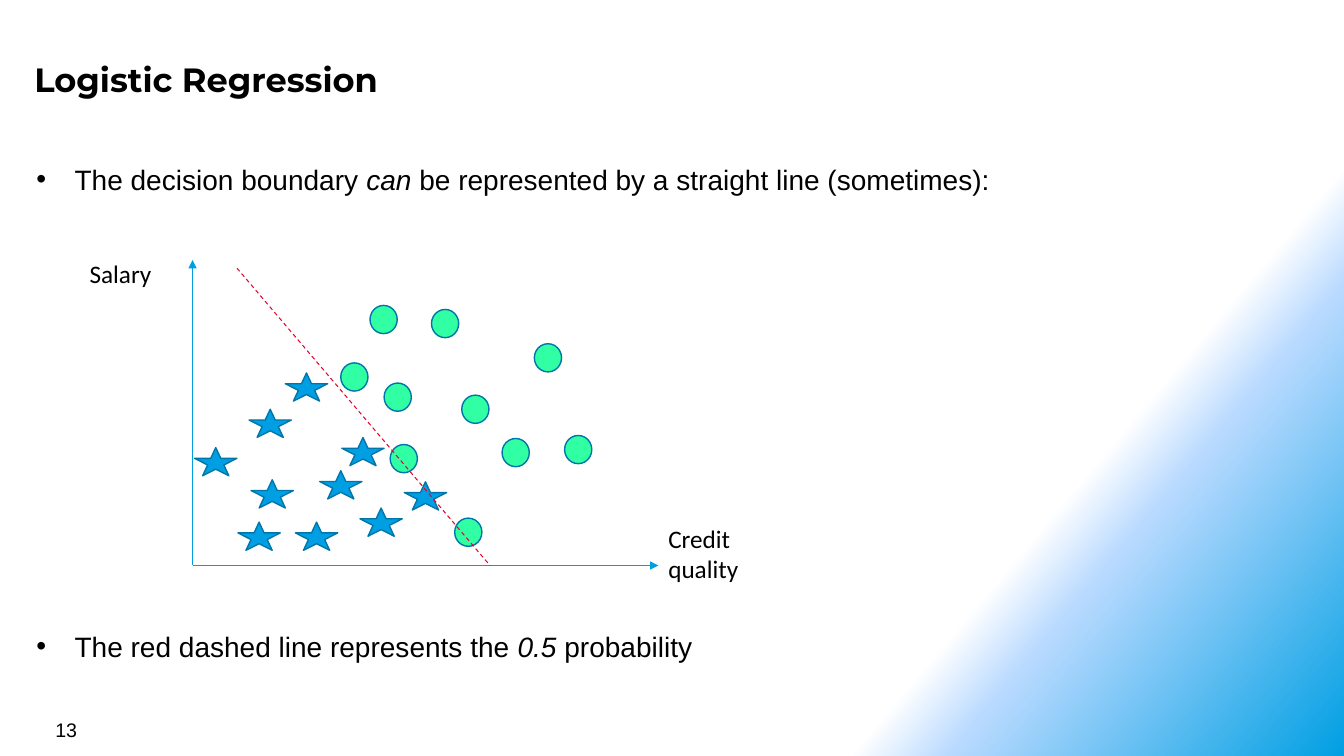
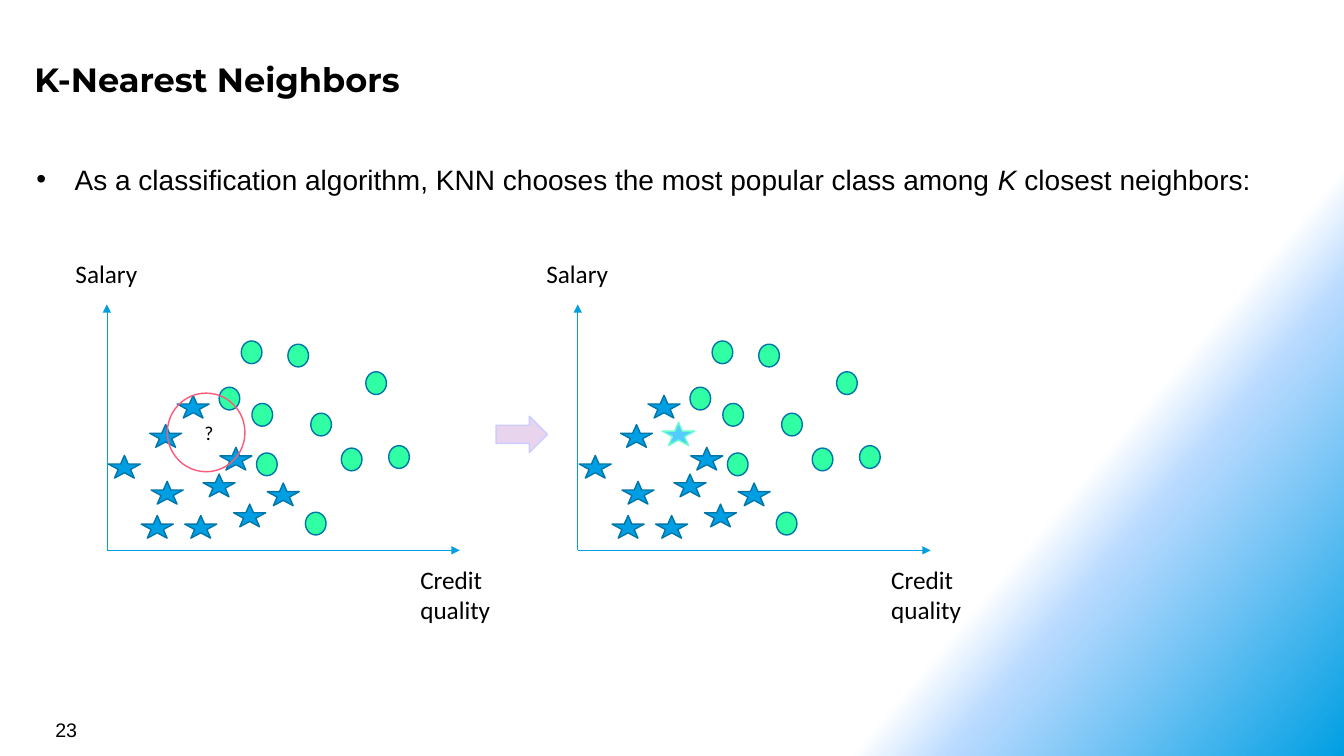
from pptx import Presentation
from pptx.dml.color import RGBColor
from pptx.enum.dml import MSO_LINE
from pptx.enum.shapes import MSO_CONNECTOR, MSO_SHAPE
from pptx.enum.text import MSO_ANCHOR, MSO_AUTO_SIZE, PP_ALIGN
from pptx.oxml import parse_xml
from pptx.oxml.ns import nsdecls, qn
from pptx.util import Inches, Pt
from lxml.etree import SubElement

BLACK = RGBColor(0x00, 0x00, 0x00)
WHITE = RGBColor(0xFF, 0xFF, 0xFF)
PALE = RGBColor(0xB9, 0xDA, 0xFF)
BLUE = RGBColor(0x00, 0x9F, 0xE3)
NAVY = RGBColor(0x00, 0x76, 0xA8)
GREEN = RGBColor(0x31, 0xFF, 0xA4)
RED = RGBColor(0xE4, 0x03, 0x2E)
PINK = RGBColor(0xFD, 0x5A, 0x79)
SKY = RGBColor(0x55, 0xCC, 0xFF)
MINT = RGBColor(0x66, 0xFF, 0xCC)
LILAC = RGBColor(0xE8, 0xD5, 0xED)
VIOLET = RGBColor(0xCC, 0xCC, 0xFF)

HEAD, BODY, LABEL = "Montserrat", "Arial", "Calibri"

# Left top corners of the marks, in inches, in a plot of the BASE size
BASE = (4.62, 3.03)
STARS = [(0.58, 2.18), (0.45, 2.6), (1.02, 2.6), (1.26, 2.09), (1.66, 2.46),
         (0.02, 1.86), (0.56, 1.48), (0.92, 1.12), (2.1, 2.2), (1.48, 1.76)]
DOTS = [(2.6, 2.56), (1.9, 1.22), (1.76, 0.45), (3.39, 0.83), (2.67, 1.34),
        (3.07, 1.77), (3.69, 1.74), (2.37, 0.49), (1.47, 1.02), (1.96, 1.83)]
MARKS = [(MSO_SHAPE.STAR_5_POINT, BLUE, (0.42, 0.28), STARS),
         (MSO_SHAPE.OVAL, GREEN, (0.27, 0.28), DOTS)]


def paint(master):
    """Give the master its diagonal gradient background."""
    half = '<a:alpha val="50000"/>'
    stops = "".join(
        f'<a:gs pos="{pos}000"><a:srgbClr val="{color}">{alpha}</a:srgbClr></a:gs>'
        for pos, color, alpha in ((75, WHITE, ""), (80, PALE, half), (100, BLUE, "")))
    tree = master.element.find(qn("p:cSld"))
    for old in tree.findall(qn("p:bg")):
        tree.remove(old)
    tree.insert(0, parse_xml(
        f'<p:bg {nsdecls("p", "a")}><p:bgPr><a:gradFill rotWithShape="1">'
        f'<a:gsLst>{stops}</a:gsLst><a:lin ang="2400000" scaled="0"/>'
        '</a:gradFill><a:effectLst/></p:bgPr></p:bg>'))


def place(shape, box):
    shape.left, shape.top, shape.width, shape.height = map(Inches, box)


def write(par, text, font, size, bold=False, italic=False):
    run = par.add_run()
    run.text = text
    face = run.font
    face.name, face.size = font, Pt(size)
    face.bold, face.italic = bold, italic
    face.color.rgb = BLACK


def add_label(slide, box, lines, font=LABEL, size=18):
    frame = slide.shapes.add_textbox(*map(Inches, box)).text_frame
    frame.word_wrap = True
    for num, line in enumerate(lines):
        par = frame.add_paragraph() if num else frame.paragraphs[0]
        write(par, line, font, size)


def add_shape(slide, kind, box, fill, line):
    shape = slide.shapes.add_shape(kind, *map(Inches, box))
    shape.shadow.inherit = False
    if fill is None:
        shape.fill.background()
    else:
        shape.fill.solid()
        shape.fill.fore_color.rgb = fill
    shape.line.color.rgb = line
    shape.line.width = Pt(1)


def add_line(slide, start, end, color, width):
    line = slide.shapes.add_connector(
        MSO_CONNECTOR.STRAIGHT, *map(Inches, (*start, *end)))
    line.line.color.rgb = color
    line.line.width = Pt(width)
    SubElement(line._element.spPr, qn("a:effectLst"))
    return line


def add_axis(slide, start, end):
    line = add_line(slide, start, end, BLUE, 0.5)
    SubElement(line.line._get_or_add_ln(), qn("a:tailEnd"), type="triangle")


def add_title(slide, text):
    title = slide.shapes.title
    place(title, (0.26, 0.51, 12.26, 0.55))
    frame = title.text_frame
    frame.auto_size = MSO_AUTO_SIZE.NONE
    frame.vertical_anchor = MSO_ANCHOR.MIDDLE
    frame.margin_left = frame.margin_right = Inches(0.08)
    frame.margin_top = frame.margin_bottom = Inches(0.08)
    par = frame.paragraphs[0]
    par.alignment = PP_ALIGN.LEFT
    write(par, text, HEAD, 24, bold=True)


def add_bullet(holder, top, parts):
    """Fill a body placeholder; every second part is in italics."""
    place(holder, (0.26, top, 12.68, 0.44))
    frame = holder.text_frame
    frame.auto_size = MSO_AUTO_SIZE.NONE
    par = frame.paragraphs[0]
    par.space_before = Pt(0)
    props = par._p.get_or_add_pPr()
    props.set("marL", str(Inches(0.38)))
    props.set("indent", str(-Inches(0.38)))
    for num, part in enumerate(parts):
        write(par, part, BODY, 20, italic=num % 2 == 1)


def add_plot(slide, box, salary, credit):
    """Draw axes and marks in box; salary and credit are label offsets
    from its left top and right bottom corners."""
    left, top, width, height = box
    right, bottom = left + width, top + height
    wide, high = width / BASE[0], height / BASE[1]
    add_axis(slide, (left, bottom), (left, top))
    add_axis(slide, (left, bottom), (right, bottom))
    for kind, fill, size, spots in MARKS:
        for x, y in spots:
            add_shape(slide, kind, (left + x * wide, top + y * high,
                                    size[0] * wide, size[1] * high), fill, NAVY)
    add_label(slide, (left + salary[0], top + salary[1], 1.08, 0.4), ["Salary"])
    add_label(slide, (right + credit[0], bottom + credit[1], 1.19, 0.71),
              ["Credit", "quality"])


def add_page(deck, number, title, bullets):
    """Add a slide with its title, number and one or two (top, parts) bullets."""
    layout = deck.slide_layouts[1 if len(bullets) == 1 else 3]
    slide = deck.slides.add_slide(layout)
    add_title(slide, title)
    add_label(slide, (0.45, 7.07, 3.11, 0.33), [number], BODY, 14)
    for num, (top, parts) in enumerate(bullets, 1):
        add_bullet(slide.placeholders[num], top, parts)
    return slide


def add_logistic(deck):
    slide = add_page(deck, "13", "Logistic Regression", [
        (1.56, ["The decision boundary ", "can",
                " be represented by a straight line (sometimes):"]),
        (6.19, ["The red dashed line represents the ", "0.5", " probability"])])
    add_plot(slide, (1.91, 2.58, *BASE), (-1.12, -0.07), (0, -0.47))
    bound = add_line(slide, (2.35, 2.66), (4.86, 5.61), RED, 0.75)
    bound.line.dash_style = MSO_LINE.DASH


def add_neighbors(deck):
    slide = add_page(deck, "23", "K-Nearest Neighbors", [
        (1.56, ["As a classification algorithm, KNN chooses the most popular"
                " class among ", "K", " closest neighbors:"])])
    for left in (1.06, 5.73):
        add_plot(slide, (left, 3.02, 3.5, 2.44), (-0.41, -0.51), (-0.49, 0.09))
    add_label(slide, (1.93, 4.13, 0.4, 0.34), ["?"], size=14)
    add_shape(slide, MSO_SHAPE.OVAL, (1.66, 3.9, 0.77, 0.78), None, PINK)
    add_shape(slide, MSO_SHAPE.STAR_5_POINT, (6.57, 4.19, 0.32, 0.23), SKY, MINT)
    add_shape(slide, MSO_SHAPE.RIGHT_ARROW, (4.92, 4.13, 0.51, 0.36), LILAC, VIOLET)


def main():
    deck = Presentation()
    deck.slide_width, deck.slide_height = Inches(13.33), Inches(7.5)
    paint(deck.slide_master)
    add_logistic(deck)
    add_neighbors(deck)
    deck.save("out.pptx")


if __name__ == "__main__":
    main()
